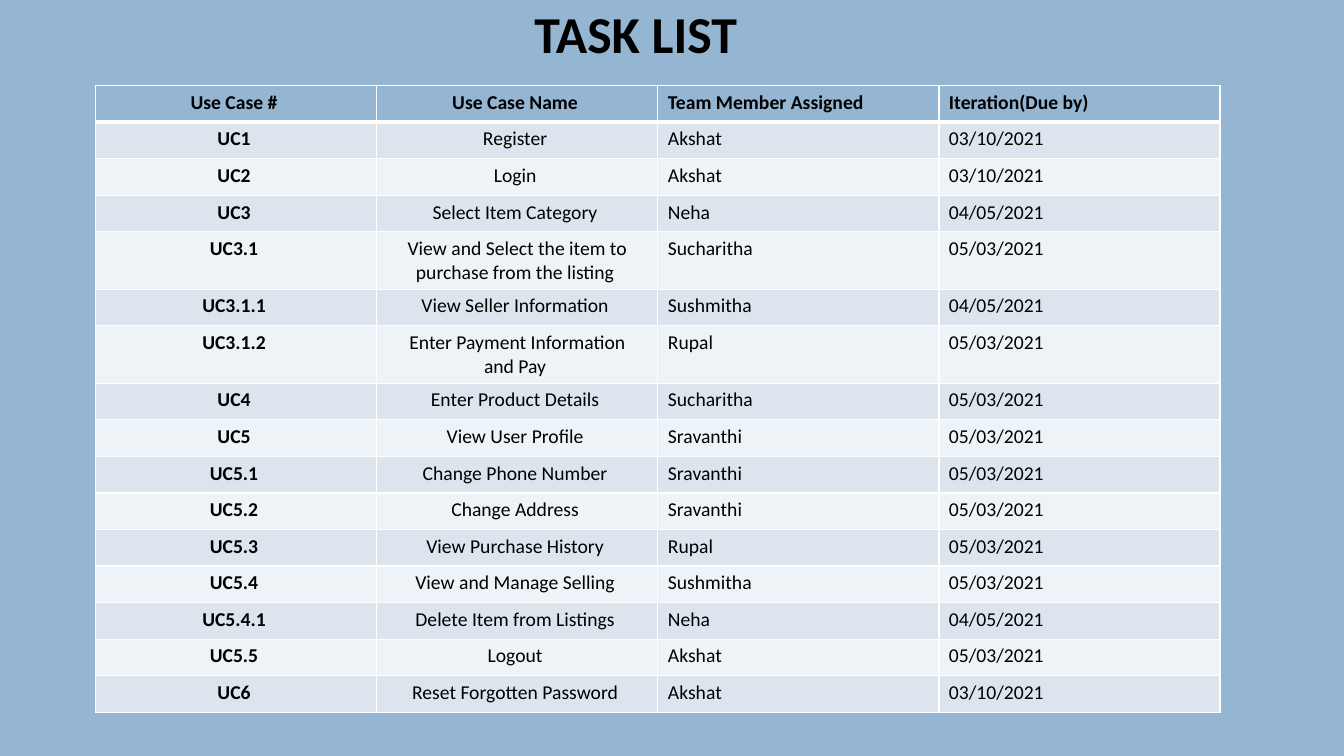
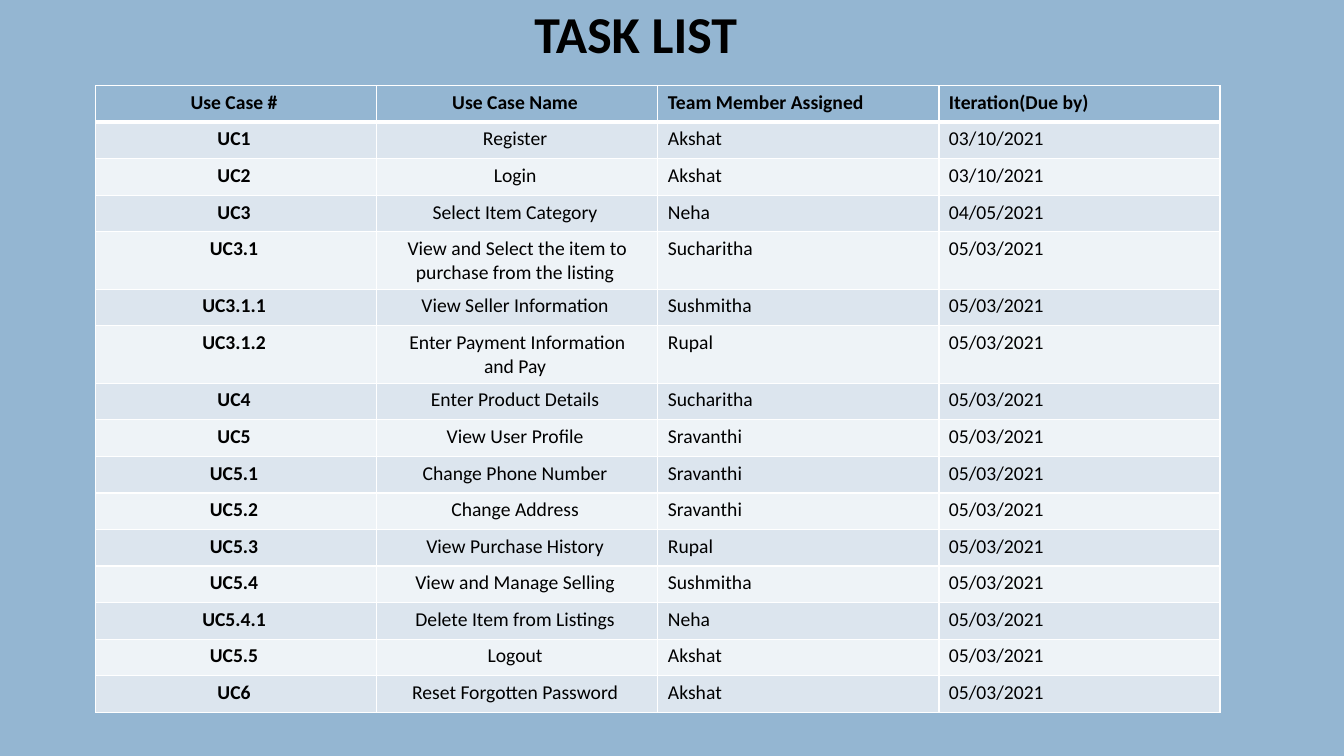
from dataclasses import dataclass

from lxml import etree
from pptx import Presentation
from pptx.dml.color import RGBColor
from pptx.enum.text import MSO_ANCHOR, PP_ALIGN
from pptx.oxml.ns import qn
from pptx.util import Inches, Pt

LEFT, CENTER = PP_ALIGN.LEFT, PP_ALIGN.CENTER
MIDDLE = MSO_ANCHOR.MIDDLE
NBSP = "\u00a0"


@dataclass(frozen=True)
class Theme:
    font: str = "Calibri"
    ink: str = "000000"
    base: str = "94B6D2"
    bands: tuple = ("DCE5EE", "EEF3F7")
    rule: str = "FFFFFF"
    title: int = 37
    body: int = 14
    thin: int = 1
    thick: int = 3


class Deck:
    """Holds the theme and the current slide."""

    def __init__(self, theme):
        self.theme = theme
        self.prs = Presentation()
        self.prs.slide_width = Inches(13.33)
        self.prs.slide_height = Inches(7.5)
        self.slide = None

    def paint(self, fill, color):
        fill.solid()
        fill.fore_color.rgb = RGBColor.from_string(color)

    def page(self):
        self.slide = self.prs.slides.add_slide(self.prs.slide_layouts[6])
        self.paint(self.slide.background.fill, self.theme.base)

    def label(self, frame, text, size, bold, **style):
        para = frame.paragraphs[0]
        for name, value in style.items():
            setattr(para, name, value)
        run = para.add_run()
        run.text = text
        look = {"name": self.theme.font, "size": Pt(size), "bold": bold}
        for name, value in look.items():
            setattr(run.font, name, value)
        run.font.color.rgb = RGBColor.from_string(self.theme.ink)

    def title(self, text):
        box = self.slide.shapes.add_textbox(
            Inches(4.76), Inches(0.08), Inches(3.09), Inches(0.62))
        frame = box.text_frame
        frame.word_wrap = True
        frame.vertical_anchor = MIDDLE
        self.label(frame, text, self.theme.title, True, alignment=CENTER,
                   line_spacing=0.75, space_before=Pt(13))

    def border(self, cell, sides):
        props = cell._tc.get_or_add_tcPr()
        for side, width in sides.items():
            line = etree.SubElement(props, qn(f"a:ln{side}"), w=str(Pt(width)))
            fill = etree.SubElement(line, qn("a:solidFill"))
            etree.SubElement(fill, qn("a:srgbClr"), val=self.theme.rule)

    def table(self, rows, aligns, tall):
        """Draw a grid; rows listed in tall hold two lines of text."""
        theme = self.theme
        width, height, high = 11.15, 6.22, 0.57
        low = (height - high * len(tall)) / (len(rows) - len(tall))
        grid = self.slide.shapes.add_table(
            len(rows), len(aligns), Inches(0.95), Inches(0.85),
            Inches(width), Inches(height)).table
        grid.horz_banding = False
        for col in grid.columns:
            col.width = Inches(width / len(aligns))
        for i, row in enumerate(rows):
            grid.rows[i].height = Inches(high if i in tall else low)
            color = theme.bands[(i - 1) % 2] if i else theme.base
            sides = {"L": theme.thin, "R": theme.thin,
                     "T": theme.thick if i == 1 else theme.thin,
                     "B": theme.thin if i else theme.thick}
            for j, (text, align) in enumerate(zip(row, aligns)):
                cell = grid.cell(i, j)
                tail = NBSP if align == CENTER else ""
                self.label(cell.text_frame, text + tail, theme.body,
                           i == 0 or j == 0, alignment=align)
                self.border(cell, sides)
                self.paint(cell.fill, color)


# Task data
HEAD = ("Use Case #", "Use Case Name", "Team Member Assigned",
        "Iteration(Due by)")
ALIGNS = (CENTER, CENTER, LEFT, LEFT)
TASKS = (
    ("UC1", "Register", "Akshat"),
    ("UC2", "Login", "Akshat"),
    ("UC3", "Select Item Category", "Neha"),
    ("UC3.1", "View and Select the item to purchase from the listing",
     "Sucharitha"),
    ("UC3.1.1", "View Seller Information", "Sushmitha"),
    ("UC3.1.2", f"Enter Payment Information and{NBSP}Pay", "Rupal"),
    ("UC4", "Enter Product Details", "Sucharitha"),
    ("UC5", f"View{NBSP}User Profile", "Sravanthi"),
    ("UC5.1", "Change Phone Number", "Sravanthi"),
    ("UC5.2", "Change Address", "Sravanthi"),
    ("UC5.3", "View Purchase History", "Rupal"),
    ("UC5.4", "View and Manage Selling", "Sushmitha"),
    ("UC5.4.1", "Delete Item from Listings", "Neha"),
    ("UC5.5", "Logout", "Akshat"),
    ("UC6", f"Reset{NBSP}Forgotten{NBSP}Password", "Akshat"),
)
TALL = (4, 6)

# Due dates: most tasks share the last one
FIRST, SECOND, LAST = "03/10/2021", "04/05/2021", "05/03/2021"
FINAL = {"UC1": FIRST, "UC2": FIRST, "UC3": SECOND}
DRAFT = {**FINAL, "UC3.1.1": SECOND, "UC5.4.1": SECOND, "UC6": FIRST}

# One slide per plan
deck = Deck(Theme())
for due in (DRAFT, FINAL):
    deck.page()
    deck.title("TASK LIST")
    rows = [HEAD] + [(*task, due.get(task[0], LAST)) for task in TASKS]
    deck.table(rows, ALIGNS, TALL)

deck.prs.save("out.pptx")
